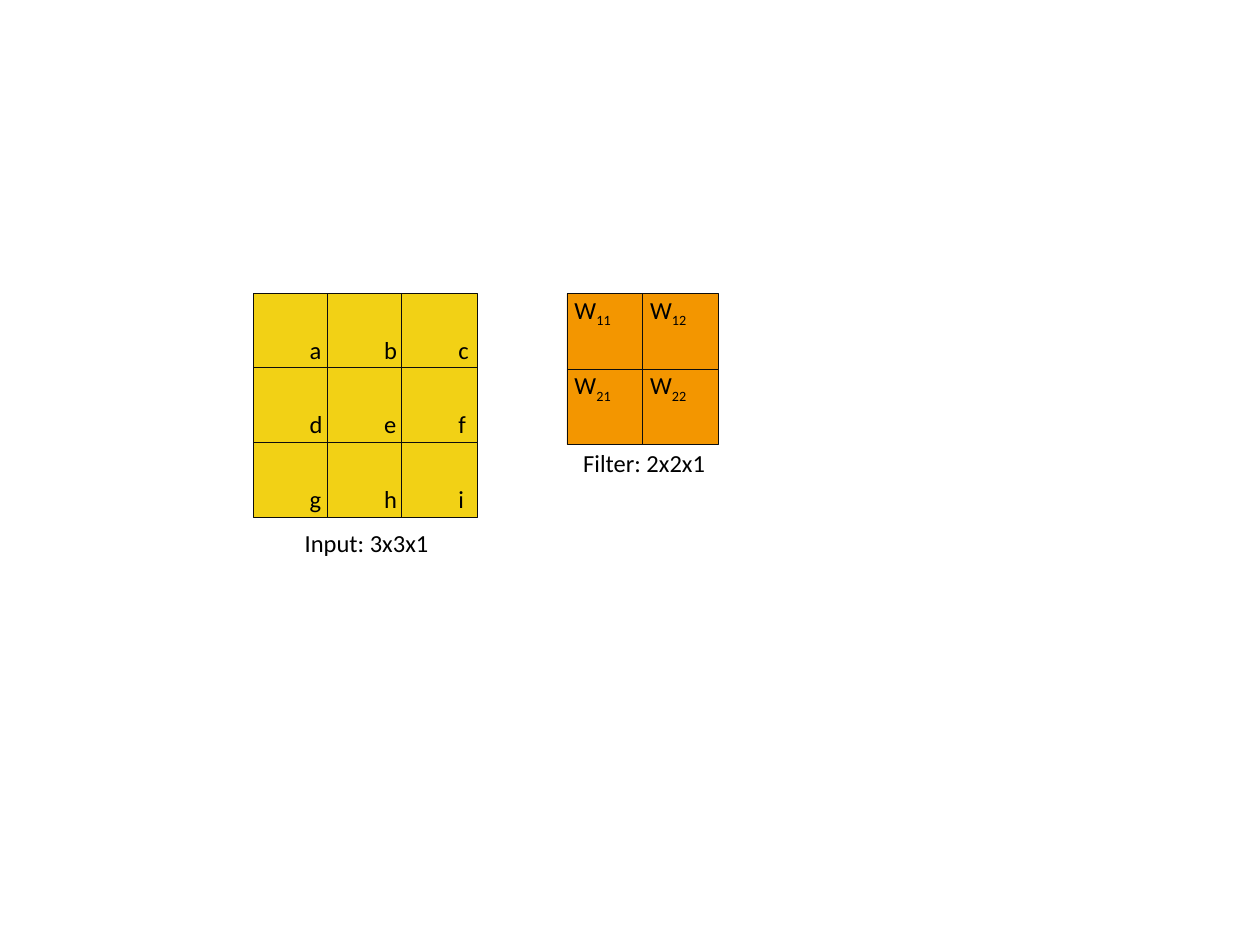
from pptx import Presentation
from pptx.dml.color import RGBColor
from pptx.enum.shapes import MSO_SHAPE
from pptx.enum.text import MSO_ANCHOR, PP_ALIGN
from pptx.util import Inches, Pt

RECTANGLE = MSO_SHAPE.RECTANGLE
TOP = MSO_ANCHOR.TOP
LEFT = PP_ALIGN.LEFT

COLORS = {"input": "F2D115", "filter": "F39600", "line": "0D0D0D", "text": "000000"}
FONT, SIZE = "Calibri", 14

INPUT_ROWS = ["abc", "def", "ghi"]
FILTER_ROWS = [["11", "12"], ["21", "22"]]
CAPTIONS = [("Input: 3x3x1", 2.32, 4.14, 1.26), ("Filter: 2x2x1", 4.53, 3.51, 1.42)]

CELL = 0.6
INPUT_LEFT, INPUT_TOP, INPUT_PITCH = 2.01, 2.33, 0.59
FILTER_LEFT, FILTER_TOP, FILTER_PITCH = 4.5, 2.33, 0.6
LETTER_DX, LETTER_DY, LETTER_WIDTH = 0.35, 0.28, 0.34
LABEL_HEIGHT = 0.33


def rgb(name):
    return RGBColor.from_string(COLORS[name])


def style_text(run):
    run.font.name = FONT
    run.font.size = Pt(SIZE)
    run.font.color.rgb = rgb("text")


def add_cell(shapes, left, top, fill):
    cell = shapes.add_shape(RECTANGLE, Inches(left), Inches(top), Inches(CELL), Inches(CELL))
    cell.shadow.inherit = False
    cell.fill.solid()
    cell.fill.fore_color.rgb = rgb(fill)
    cell.line.color.rgb = rgb("line")
    cell.line.width = Pt(0.5)
    return cell


def add_weight(cell, index):
    """Write W with its index as a subscript in the cell's top left corner."""
    frame = cell.text_frame
    frame.vertical_anchor = TOP
    frame.margin_left, frame.margin_top = Inches(0.06), Inches(0.01)
    frame.margin_right = frame.margin_bottom = 0
    paragraph = frame.paragraphs[0]
    paragraph.alignment = LEFT
    for text in ("W", index):
        run = paragraph.add_run()
        run.text = text
        style_text(run)
    run.font._element.set("baseline", "-25000")


def add_label(shapes, text, left, top, width):
    label = shapes.add_textbox(Inches(left), Inches(top), Inches(width), Inches(LABEL_HEIGHT))
    label.text_frame.word_wrap = True
    label.text_frame.text = text
    style_text(label.text_frame.paragraphs[0].runs[0])


def add_input(shapes):
    places = [
        (letter, INPUT_LEFT + column * INPUT_PITCH, INPUT_TOP + row * INPUT_PITCH)
        for row, letters in enumerate(INPUT_ROWS)
        for column, letter in enumerate(letters)
    ]
    for _, left, top in places:
        add_cell(shapes, left, top, "input")
    for letter, left, top in places:
        add_label(shapes, letter, left + LETTER_DX, top + LETTER_DY, LETTER_WIDTH)


def add_filter(shapes):
    group = shapes.add_group_shape()
    for row, indices in enumerate(FILTER_ROWS):
        for column, index in enumerate(indices):
            cell = add_cell(group.shapes, FILTER_LEFT + column * FILTER_PITCH,
                            FILTER_TOP + row * FILTER_PITCH, "filter")
            add_weight(cell, index)


def main():
    presentation = Presentation()
    presentation.slide_width, presentation.slide_height = Inches(10), Inches(7.5)
    shapes = presentation.slides.add_slide(presentation.slide_layouts[6]).shapes
    add_input(shapes)
    add_filter(shapes)
    for caption in CAPTIONS:
        add_label(shapes, *caption)
    presentation.save("out.pptx")


if __name__ == "__main__":
    main()
